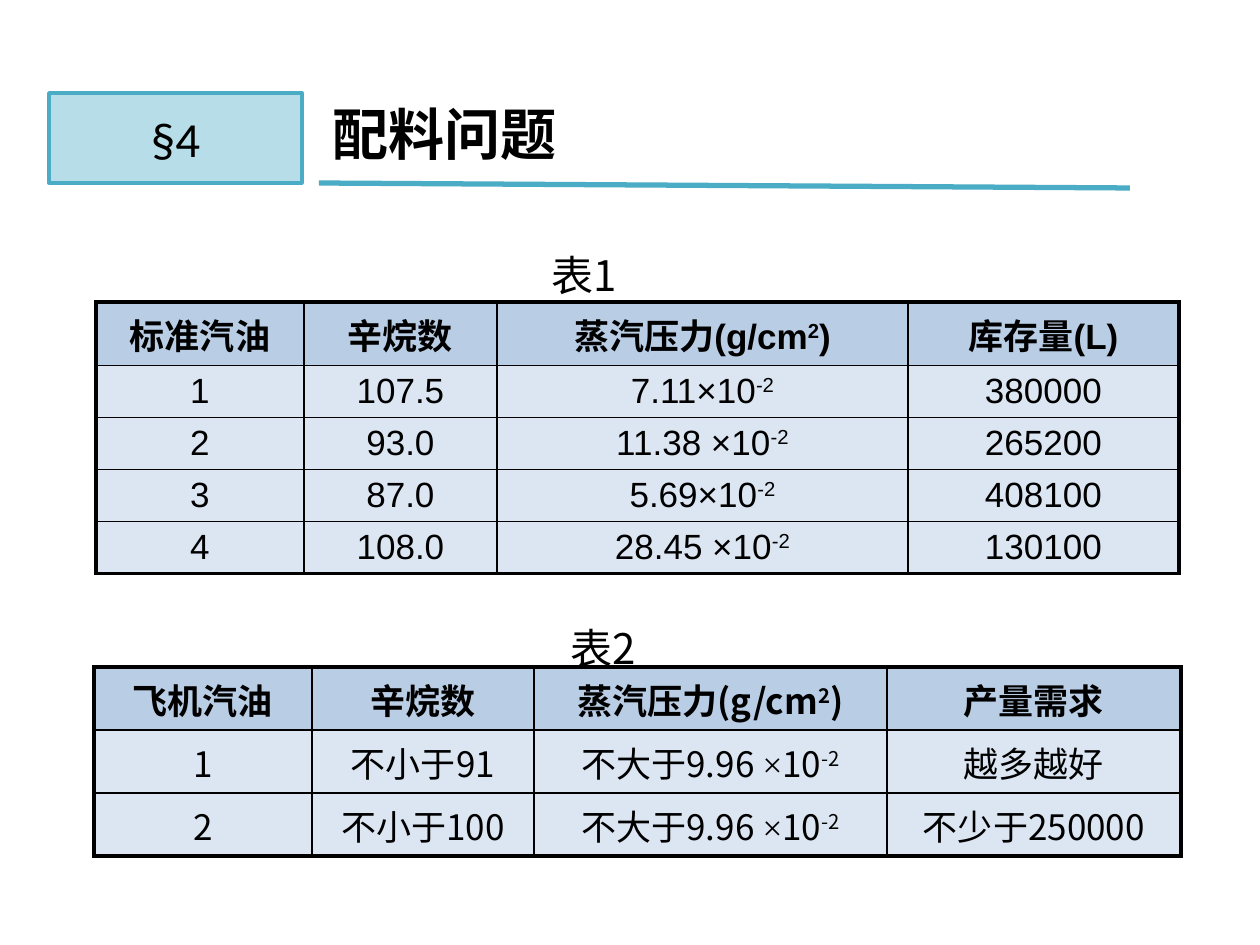
from dataclasses import dataclass

from lxml.etree import SubElement
from pptx import Presentation
from pptx.dml.color import RGBColor
from pptx.enum.shapes import MSO_CONNECTOR, MSO_SHAPE
from pptx.enum.text import MSO_ANCHOR, MSO_AUTO_SIZE, PP_ALIGN
from pptx.oxml import parse_xml
from pptx.oxml.ns import nsdecls, qn
from pptx.util import Emu, Pt

PX_PER_INCH = 126
THICK, THIN = 2.25, 1


@dataclass(frozen=True)
class Theme:
    ink: str = "000000"
    accent: str = "4BACC6"
    badge: str = "B7DEE8"
    header: str = "B9CDE5"
    body: str = "DCE6F2"
    sans: str = "Noto Sans CJK SC"
    latin: str = "Arial"
    number: str = "Calibri"
    symbol: str = "Times New Roman"
    title_size: int = 32
    badge_size: int = 28
    caption_size: int = 24
    cell_size: int = 20


THEME = Theme()


def px(length):
    return Emu(round(length * 914400 / PX_PER_INCH))


def color(value):
    return RGBColor.from_string(value)


def add_run(paragraph, text, size, font, bold=False, raised=False):
    run = paragraph.add_run()
    run.text = text
    run.font.size = Pt(size)
    run.font.bold = bold
    run.font.color.rgb = color(THEME.ink)
    run.font.name = font
    properties = run._r.get_or_add_rPr()
    SubElement(properties, qn("a:ea")).set("typeface", THEME.sans)
    if raised:
        properties.set("baseline", "30000")


def add_label(slide, box, text, size, bold=False):
    shape = slide.shapes.add_textbox(*map(px, box))
    frame = shape.text_frame
    frame.word_wrap = True
    frame.auto_size = MSO_AUTO_SIZE.SHAPE_TO_FIT_TEXT
    add_run(frame.paragraphs[0], text, size, THEME.sans, bold)


def add_heading(slide, box, number, title):
    left, top, width, height = box
    # Section badge
    badge = slide.shapes.add_shape(
        MSO_SHAPE.RECTANGLE, px(left), px(top), px(253), px(height))
    badge.shadow.inherit = False
    badge.fill.solid()
    badge.fill.fore_color.rgb = color(THEME.badge)
    badge.line.color.rgb = color(THEME.accent)
    badge.line.width = Pt(2)
    badge.text_frame.vertical_anchor = MSO_ANCHOR.MIDDLE
    paragraph = badge.text_frame.paragraphs[0]
    paragraph.alignment = PP_ALIGN.CENTER
    add_run(paragraph, number, THEME.badge_size, THEME.number)
    # Underline
    rule = slide.shapes.add_connector(
        MSO_CONNECTOR.STRAIGHT, px(left + 270), px(top + height),
        px(left + 1081), px(top + height + 5))
    rule.line.color.rgb = color(THEME.accent)
    rule.line.width = Pt(3)
    SubElement(rule._element.spPr, qn("a:effectLst"))
    # Title
    add_label(slide, (left + 271, top, width - 271, 81), title,
              THEME.title_size, bold=True)


def set_borders(cell, widths):
    properties = cell._tc.get_or_add_tcPr()
    for index, (side, width) in enumerate(zip("LRTB", widths)):
        properties.insert(index, parse_xml(
            f'<a:ln{side} {nsdecls("a")} w="{Pt(width)}"><a:solidFill>'
            f'<a:srgbClr val="{THEME.ink}"/></a:solidFill></a:ln{side}>'))


def add_table_block(slide, box, caption, caption_box, columns, row_heights, rows, font):
    left, top = box
    frame = slide.shapes.add_table(
        len(rows), len(columns), px(left), px(top),
        px(sum(columns)), px(sum(row_heights)))
    table = frame.table
    table.first_row = table.horz_banding = False
    for column, width in zip(table.columns, columns):
        column.width = px(width)
    for row, height in zip(table.rows, row_heights):
        row.height = px(height)
    # Cells: a part is a text, or a (text, style) pair
    for r, values in enumerate(rows):
        for c, parts in enumerate(values):
            cell = table.cell(r, c)
            cell.fill.solid()
            cell.fill.fore_color.rgb = color(THEME.body if r else THEME.header)
            outer = (c == 0, c == len(columns) - 1, r == 0, r == len(rows) - 1)
            set_borders(cell, [THICK if edge else THIN for edge in outer])
            paragraph = cell.text_frame.paragraphs[0]
            paragraph.alignment = PP_ALIGN.CENTER
            for part in [parts] if isinstance(parts, str) else parts:
                text, style = (part, "") if isinstance(part, str) else part
                add_run(paragraph, text, THEME.cell_size,
                        THEME.symbol if style == "symbol" else font,
                        bold=r == 0, raised=style == "raised")
    # Caption
    dx, dy, width, height = caption_box
    add_label(slide, (left + dx, top + dy, width, height), caption,
              THEME.caption_size)


def main():
    presentation = Presentation()
    presentation.slide_width, presentation.slide_height = px(1260), px(945)
    slide = presentation.slides.add_slide(presentation.slide_layouts[6])

    exponent = ("-2", "raised")
    pressure = ["蒸汽压力(g/cm", ("2", "raised"), ")"]
    limit = ["不大于9.96 ", ("×", "symbol"), "10", exponent]

    stock = [
        ("1", "107.5", "7.11×10", "380000"),
        ("2", "93.0", "11.38 ×10", "265200"),
        ("3", "87.0", "5.69×10", "408100"),
        ("4", "108.0", "28.45 ×10", "130100"),
    ]
    stock_rows = [["标准汽油", "辛烷数", pressure, "库存量(L)"]] + [
        [grade, octane, [steam, exponent], litres]
        for grade, octane, steam, litres in stock]
    demand_rows = [
        ["飞机汽油", "辛烷数", pressure, "产量需求"],
        ["1", "不小于91", limit, "越多越好"],
        ["2", "不小于100", limit, "不少于250000"],
    ]

    add_table_block(slide, (96, 302), "表1", (443, -59, 335, 64),
                    [208, 193, 411, 271], [63] + [52] * 4, stock_rows, THEME.latin)
    add_table_block(slide, (94, 667), "表2", (464, -51, 335, 64),
                    [218, 222, 353, 294], [63] * 3, demand_rows, THEME.sans)
    add_heading(slide, (49, 93, 1198, 90), "§4", "配料问题")

    presentation.save("out.pptx")


if __name__ == "__main__":
    main()
